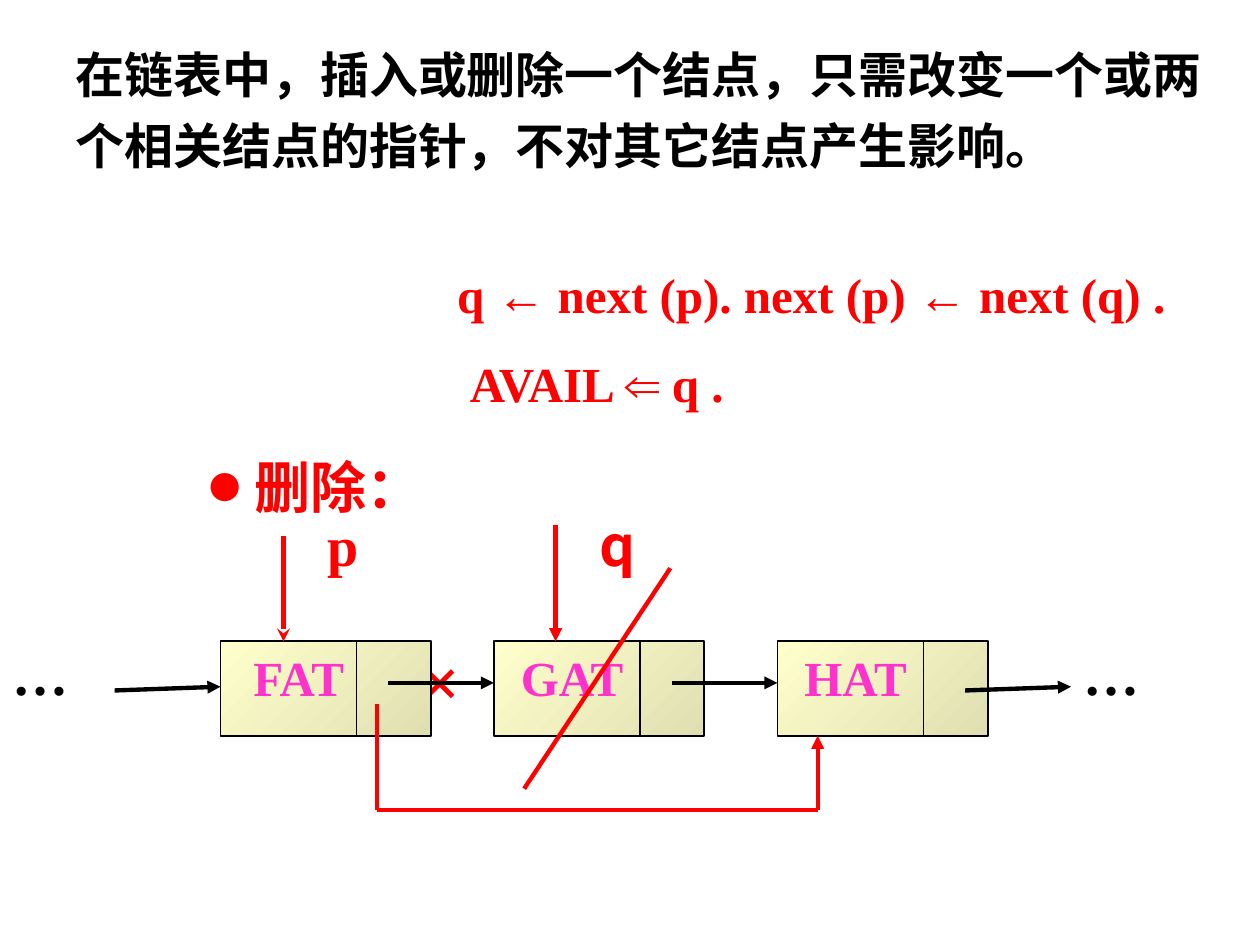
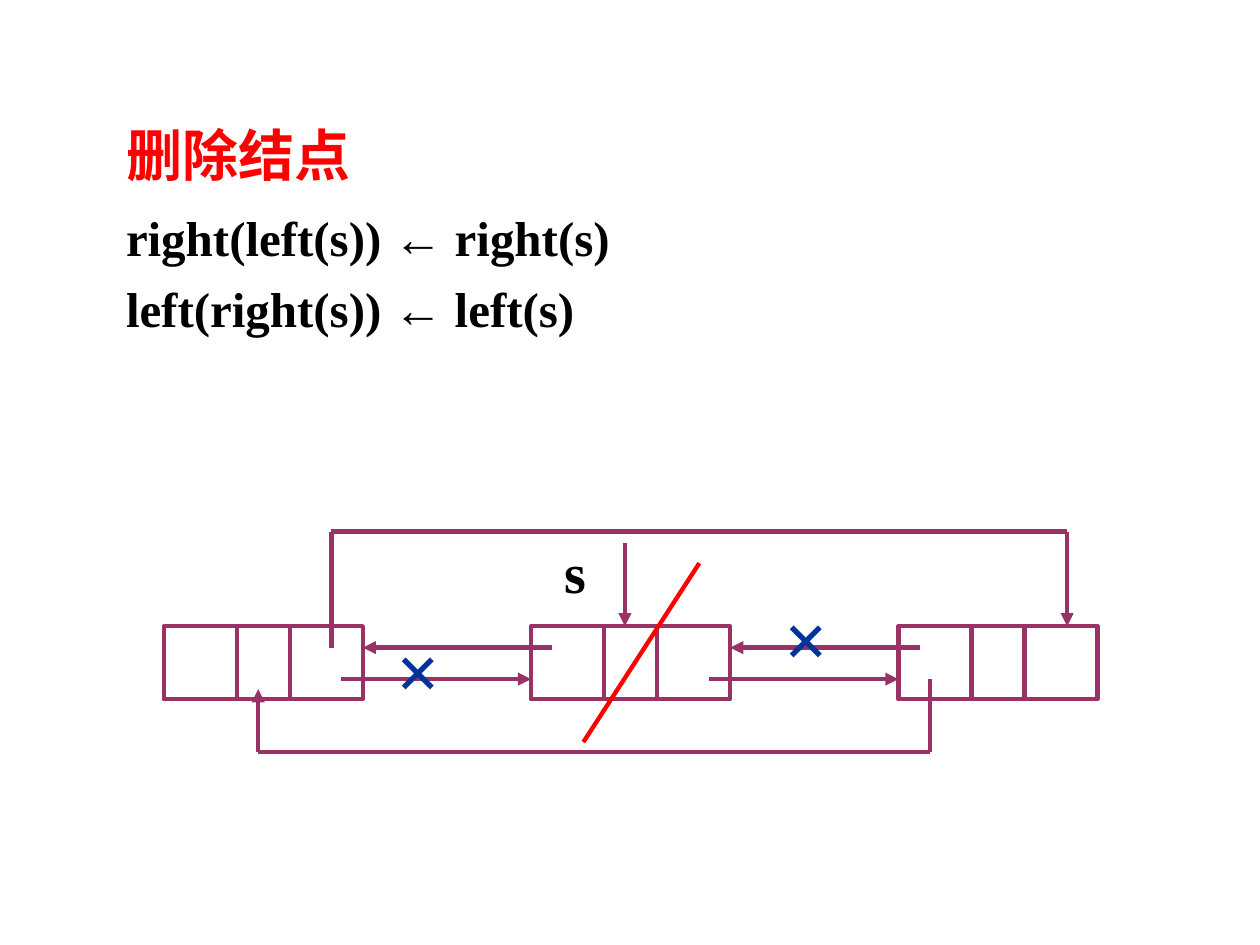
from lxml.etree import SubElement
from pptx import Presentation
from pptx.dml.color import RGBColor
from pptx.enum.shapes import MSO_CONNECTOR, MSO_SHAPE
from pptx.enum.text import MSO_ANCHOR, MSO_AUTO_SIZE, PP_ALIGN
from pptx.oxml.ns import qn
from pptx.util import Inches, Pt

BLACK = RGBColor(0x00, 0x00, 0x00)
RED = RGBColor(0xFF, 0x00, 0x00)
PINK = RGBColor(0xFF, 0x33, 0xCC)
PLUM = RGBColor(0x99, 0x33, 0x66)
BLUE = RGBColor(0x00, 0x33, 0x99)
CREAM = RGBColor(0xFF, 0xFF, 0xCC)
KHAKI = RGBColor(0xDF, 0xDF, 0xB2)
SERIF = "Times New Roman"
CJK = "Noto Sans CJK SC"
SYMBOL = "Arial"


def set_text(shape, box, paragraphs, size, color, font=SERIF, align=PP_ALIGN.LEFT,
             line_spacing=1.0, gap=0, bullet=None, hanging=0):
    shape.left, shape.top, shape.width, shape.height = [Inches(value) for value in box]
    frame = shape.text_frame
    frame.word_wrap = True
    frame.auto_size = MSO_AUTO_SIZE.NONE
    frame.vertical_anchor = MSO_ANCHOR.TOP
    for index, runs in enumerate(paragraphs):
        paragraph = frame.add_paragraph() if index else frame.paragraphs[0]
        properties = paragraph._p.get_or_add_pPr()
        properties.set("marL", str(Inches(hanging)))
        properties.set("indent", str(-Inches(hanging)))
        if bullet:
            SubElement(properties, qn("a:buSzPct"), val="56000")
            SubElement(properties, qn("a:buFont"), typeface=CJK)
            SubElement(properties, qn("a:buChar"), char=bullet)
        else:
            SubElement(properties, qn("a:buNone"))
        paragraph.alignment = align
        paragraph.line_spacing = line_spacing
        paragraph.space_before = Pt(gap if index else 0)
        paragraph.font.name = font
        paragraph.font.size = Pt(size)
        paragraph.font.bold = True
        paragraph.font.color.rgb = color
        for text in runs:
            run = paragraph.add_run()
            run.text = text
            if text in ("←", "⇐"):
                run.font.name = SYMBOL


def add_path(slide, points, color, width=2.5, arrow=None):
    for start, end in zip(points, points[1:]):
        line = slide.shapes.add_connector(
            MSO_CONNECTOR.STRAIGHT, *[Inches(value) for value in (*start, *end)])
        line.line.color.rgb = color
        line.line.width = Pt(width)
        SubElement(line._element.spPr, qn("a:effectLst"))
    if arrow:
        SubElement(line.line._get_or_add_ln(), qn("a:tailEnd"), type=arrow)


presentation = Presentation()
presentation.slide_width = Inches(10)
presentation.slide_height = Inches(7.5)
layout = presentation.slide_layouts[1]

slide = presentation.slides.add_slide(layout)
set_text(slide.shapes.title, (0.5, 0.21, 9.15, 1.22),
         [["在链表中，插入或删除一个结点，只需改变一个或两个相关结点的指针，不对其它结点产生影响。"]],
         28, BLACK, line_spacing=1.2)
set_text(slide.placeholders[1], (1.56, 3.54, 6.64, 0.66), [["删除："]],
         32, RED, font=CJK, bullet="●", hanging=0.36)
set_text(slide.shapes.add_textbox(0, 0, 0, 0), (3.53, 2.05, 6.12, 1.28),
         [["q ", "←", " next (p). next (p) ", "←", " next (q) ."],
          ["AVAIL ", "⇐", " q ."]], 28, RED, gap=17.5)
slide.shapes[-1].text_frame.paragraphs[1]._p.pPr.set("marL", str(Inches(0.1)))
set_text(slide.shapes.add_textbox(0, 0, 0, 0), (3.24, 5.01, 0.76, 0.77), [["×"]], 40, RED)

for name, left, divider in (("FAT", 1.75, 2.83), ("GAT", 3.92, 5.08), ("HAT", 6.17, 7.33)):
    node = slide.shapes.add_shape(
        MSO_SHAPE.RECTANGLE, Inches(left), Inches(5.09), Inches(1.67), Inches(0.75))
    node.shadow.inherit = False
    node.fill.gradient()
    node.fill.gradient_angle = 315
    for stop, color in zip(node.fill.gradient_stops, (CREAM, KHAKI)):
        stop.color.rgb = color
    node.line.color.rgb = BLACK
    node.line.width = Pt(1)
    add_path(slide, [(divider, 5.09), (divider, 5.84)], BLACK, 1)
    set_text(slide.shapes.add_textbox(0, 0, 0, 0), (left + 0.08, 5.09, 1.08, 0.57),
             [[name]], 28, PINK, align=PP_ALIGN.CENTER)

for left in (0, 8.5):
    set_text(slide.shapes.add_textbox(0, 0, 0, 0), (left, 5, 0.83, 0.66),
             [["…"]], 32, BLACK, line_spacing=1.05)
for start, end in (((0.91, 5.48), (1.75, 5.45)), ((3.08, 5.42), (3.92, 5.42)),
                   ((5.33, 5.42), (6.17, 5.42)), ((7.66, 5.48), (8.5, 5.45))):
    add_path(slide, [start, end], BLACK, arrow="triangle")

for pointer, left, font in (("p", 2.5, SERIF), ("q", 4.66, CJK)):
    set_text(slide.shapes.add_textbox(0, 0, 0, 0), (left, 4, 0.5, 0.64),
             [[pointer]], 32, RED, font=font)
add_path(slide, [(2.25, 4.25), (2.25, 5.09)], RED, arrow="stealth")
add_path(slide, [(4.41, 4.17), (4.41, 5.09)], RED, arrow="triangle")
add_path(slide, [(2.99, 5.59), (2.99, 6.43), (6.49, 6.43), (6.49, 5.84)], RED, arrow="triangle")
add_path(slide, [(5.32, 4.51), (4.16, 6.26)], RED)

slide = presentation.slides.add_slide(layout)
set_text(slide.shapes.title, (0.9, 0.91, 7.23, 0.7), [["删除结点"]], 32, RED)
set_text(slide.placeholders[1], (0.9, 1.6, 7.23, 1.28),
         [["right(left(s)) ", "←", " right(s)"], ["left(right(s)) ", "←", " left(s)"]],
         28, BLACK, gap=7)

NODE_TOP, NODE_WIDTH, NODE_HEIGHT = 4.97, 1.58, 0.58
node_lefts = [1.3 + 2.915 * index for index in range(3)]
for left in node_lefts:
    node = slide.shapes.add_shape(
        MSO_SHAPE.RECTANGLE, Inches(left), Inches(NODE_TOP), Inches(NODE_WIDTH), Inches(NODE_HEIGHT))
    node.shadow.inherit = False
    node.fill.background()
    node.line.color.rgb = PLUM
    node.line.width = Pt(2.5)
    for offset in (0.58, 1.0):
        add_path(slide, [(left + offset, NODE_TOP), (left + offset, NODE_TOP + NODE_HEIGHT)], PLUM)

for left, following in zip(node_lefts, node_lefts[1:]):
    add_path(slide, [(following + 0.17, 5.14), (left + NODE_WIDTH, 5.14)], PLUM, arrow="triangle")
    add_path(slide, [(left + 1.41, 5.39), (following, 5.39)], PLUM, arrow="triangle")
for points in ([(7.38, 5.39), (7.38, 5.97), (2.05, 5.97), (2.05, 5.47)],
               [(2.63, 5.14), (2.63, 4.22), (8.47, 4.22), (8.47, 4.97)],
               [(4.96, 4.31), (4.96, 4.97)]):
    add_path(slide, points, PLUM, arrow="triangle")

set_text(slide.shapes.add_textbox(0, 0, 0, 0), (4.38, 4.22, 0.5, 0.64), [["s"]], 32, BLACK)
add_path(slide, [(5.55, 4.47), (4.63, 5.89)], RED)
for left, top in ((6.13, 4.64), (3.05, 4.89)):
    set_text(slide.shapes.add_textbox(0, 0, 0, 0), (left, top, 0.92, 0.84), [["×"]], 44, BLUE)

presentation.save("out.pptx")
